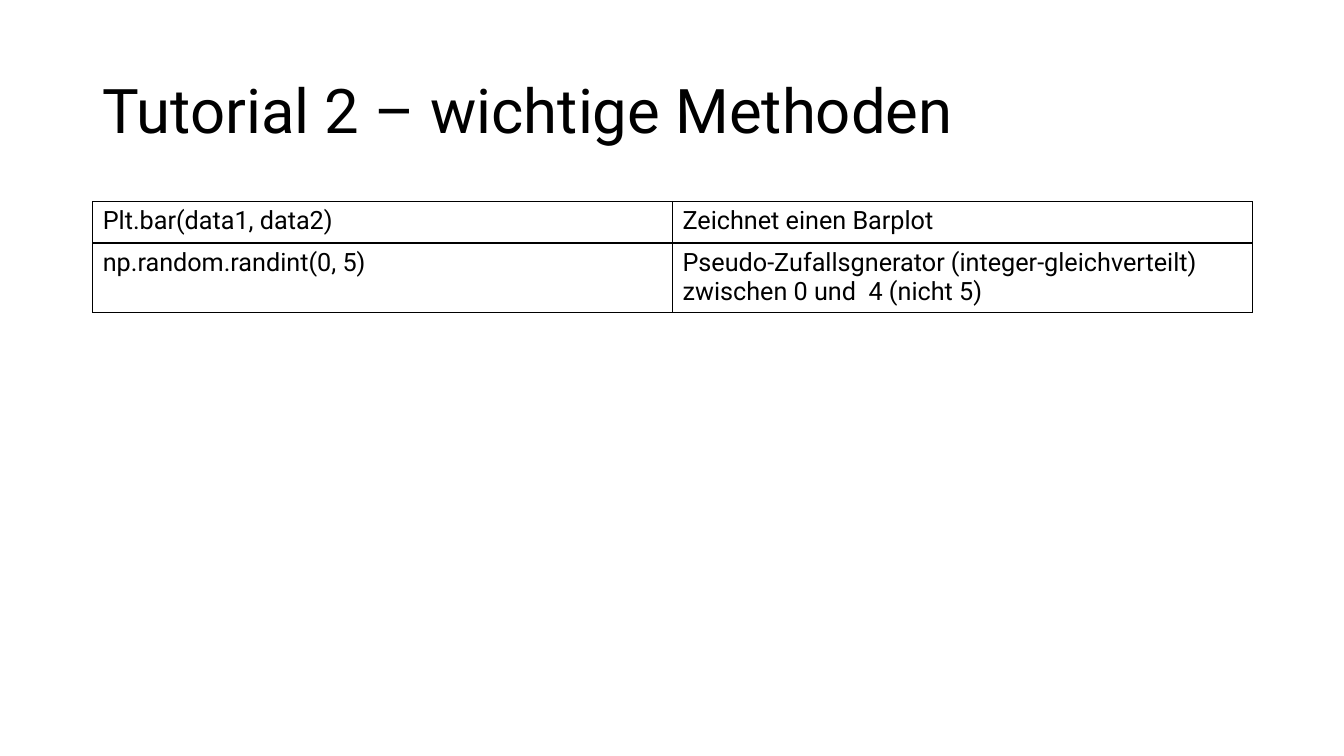
from lxml.etree import SubElement
from pptx import Presentation
from pptx.dml.color import RGBColor
from pptx.enum.text import MSO_ANCHOR, PP_ALIGN
from pptx.oxml.ns import qn
from pptx.util import Inches, Pt

FONT = "Roboto"
BLACK = "000000"
METHODS = [
    ("Plt.bar(data1, data2)", "Zeichnet einen Barplot"),
    (
        "np.random.randint(0, 5)",
        "Pseudo-Zufallsgnerator (integer-gleichverteilt) zwischen 0 und  4 (nicht 5)",
    ),
]


def color(value):
    return RGBColor.from_string(value)


def add_run(para, text, size):
    span = para.add_run()
    span.text = text
    span.font.name = FONT
    span.font.size = Pt(size)
    span.font.bold = False
    span.font.color.rgb = color(BLACK)


def add_borders(cell):
    properties = cell._tc.get_or_add_tcPr()
    for side in ("a:lnL", "a:lnR", "a:lnT", "a:lnB"):
        line = SubElement(properties, qn(side), w=str(Pt(1)))
        fill = SubElement(line, qn("a:solidFill"))
        SubElement(fill, qn("a:srgbClr"), val=BLACK)


def place_title(page, text, left, top, width, height):
    box = page.shapes.title
    box.left, box.top = Inches(left), Inches(top)
    box.width, box.height = Inches(width), Inches(height)
    frame = box.text_frame
    frame.word_wrap = True
    frame.vertical_anchor = MSO_ANCHOR.MIDDLE
    para = frame.paragraphs[0]
    para.alignment = PP_ALIGN.LEFT
    para.line_spacing = 0.9
    add_run(para, text, 44)


def place_table(page, rows, left, top, width, row_height):
    columns = len(rows[0])
    table = page.shapes.add_table(
        len(rows), columns, Inches(left), Inches(top),
        Inches(width), Inches(row_height * len(rows)),
    ).table
    table.first_row = False
    table.horz_banding = False
    for row, texts in enumerate(rows):
        for column, text in enumerate(texts):
            cell = table.cell(row, column)
            add_borders(cell)
            cell.fill.background()
            add_run(cell.text_frame.paragraphs[0], text, 18)


def main():
    deck = Presentation()
    deck.slide_width, deck.slide_height = Inches(13.33), Inches(7.5)
    page = deck.slides.add_slide(deck.slide_layouts[5])
    place_title(page, "Tutorial 2 – wichtige Methoden", 0.92, 0.4, 11.5, 1.45)
    place_table(page, METHODS, 0.92, 2, 11.5, 0.41)
    deck.save("out.pptx")


if __name__ == "__main__":
    main()
